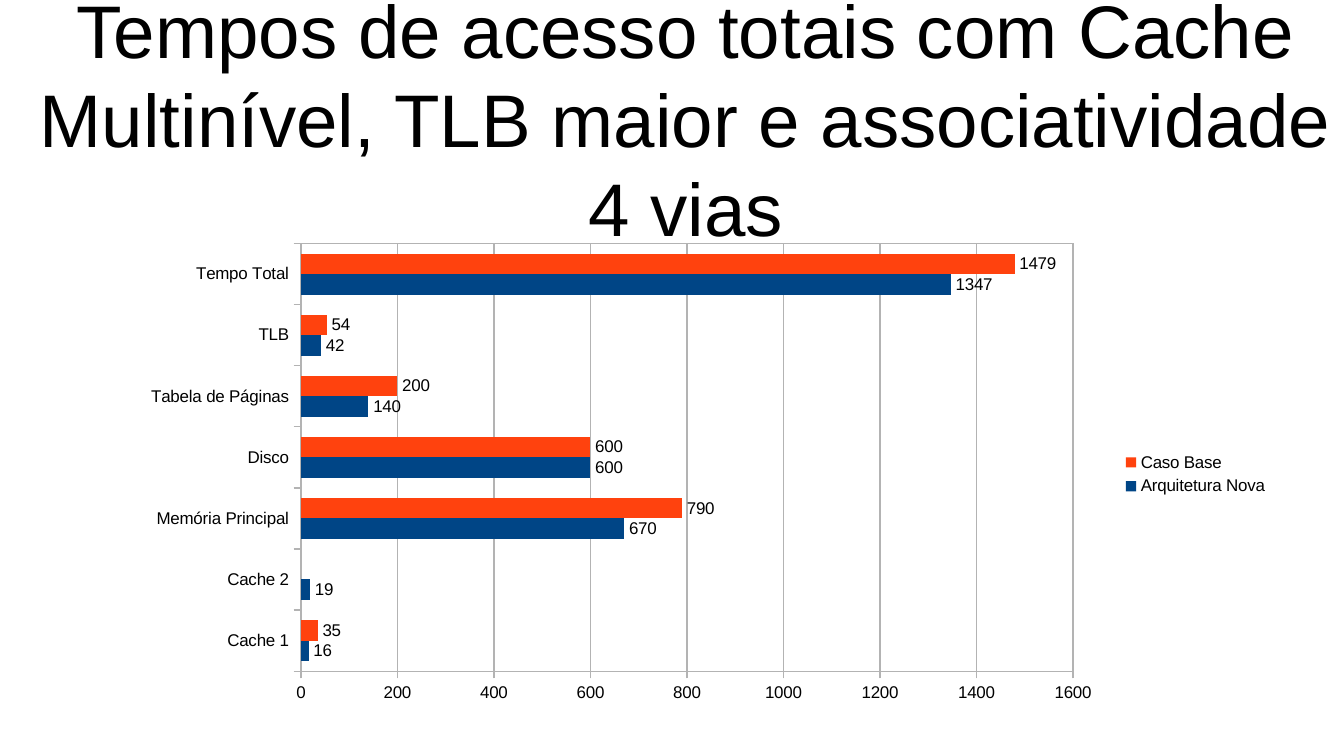
from lxml import etree
from pptx import Presentation
from pptx.chart.data import CategoryChartData
from pptx.dml.color import RGBColor
from pptx.enum.chart import XL_CHART_TYPE, XL_LABEL_POSITION, XL_LEGEND_POSITION, XL_TICK_MARK
from pptx.enum.text import MSO_ANCHOR, PP_ALIGN
from pptx.oxml import parse_xml
from pptx.util import Inches, Pt

BARS = XL_CHART_TYPE.BAR_CLUSTERED
OUTSIDE_END = XL_LABEL_POSITION.OUTSIDE_END
LEGEND_RIGHT = XL_LEGEND_POSITION.RIGHT
TICK_OUT = XL_TICK_MARK.OUTSIDE
MIDDLE = MSO_ANCHOR.MIDDLE
CENTER = PP_ALIGN.CENTER

TITLE = "Tempos de acesso totais com Cache Multinível, TLB maior e associatividade 4 vias"
LEVELS = ["Cache 1", "Cache 2", "Memória Principal", "Disco",
          "Tabela de Páginas", "TLB", "Tempo Total"]
ACCESS_TIMES = {
    "Arquitetura Nova": [16, 19, 670, 600, 140, 42, 1347],
    "Caso Base": [35, None, 790, 600, 200, 54, 1479],
}
COLORS = {"text": "000000", "grid": "B3B3B3",
          "Arquitetura Nova": "004586", "Caso Base": "FF420E"}
FONT = "Arial"
PLOT_LAYOUT = {"x": 0.15, "y": 0.02, "w": 0.67, "h": 0.89}
CHART_NS = "http://schemas.openxmlformats.org/drawingml/2006/chart"
DRAWING_NS = "http://schemas.openxmlformats.org/drawingml/2006/main"


def style_font(font, size):
    font.name = FONT
    font.size = Pt(size)
    font.color.rgb = RGBColor.from_string(COLORS["text"])


def style_line(line):
    line.color.rgb = RGBColor.from_string(COLORS["grid"])
    line.width = Pt(0)


def frame_plot(chart):
    plot_area = chart.plots[0]._element.getparent()
    for layout in plot_area.findall(f"{{{CHART_NS}}}layout"):
        plot_area.remove(layout)
    layout = etree.Element(f"{{{CHART_NS}}}layout")
    manual = etree.SubElement(layout, f"{{{CHART_NS}}}manualLayout")
    settings = {"layoutTarget": "inner", "xMode": "edge", "yMode": "edge", **PLOT_LAYOUT}
    for tag, value in settings.items():
        etree.SubElement(manual, f"{{{CHART_NS}}}{tag}", val=str(value))
    plot_area.insert(0, layout)
    plot_area.append(parse_xml(
        f'<c:spPr xmlns:c="{CHART_NS}" xmlns:a="{DRAWING_NS}"><a:noFill/>'
        f'<a:ln w="0"><a:solidFill><a:srgbClr val="{COLORS["grid"]}"/>'
        '</a:solidFill></a:ln></c:spPr>'))


def add_title(slide):
    box = slide.shapes.add_textbox(Inches(0.25), Inches(-0.06), Inches(10.75), Inches(2.05))
    frame = box.text_frame
    frame.word_wrap = True
    frame.vertical_anchor = MIDDLE
    frame.margin_left = frame.margin_right = frame.margin_top = frame.margin_bottom = 0
    paragraph = frame.paragraphs[0]
    paragraph.alignment = CENTER
    run = paragraph.add_run()
    run.text = TITLE
    style_font(run.font, 44)


def add_times_chart(slide):
    times = CategoryChartData()
    times.categories = LEVELS
    for name, values in ACCESS_TIMES.items():
        times.add_series(name, values)
    chart = slide.shapes.add_chart(
        BARS, Inches(1.05), Inches(1.92), Inches(9.45), Inches(3.94), times).chart
    chart.has_title = False
    style_font(chart.font, 10)

    chart.has_legend = True
    chart.legend.position = LEGEND_RIGHT
    chart.legend.include_in_layout = False
    style_font(chart.legend.font, 10)

    for axis in (chart.category_axis, chart.value_axis):
        axis.major_tick_mark = TICK_OUT
        style_font(axis.tick_labels.font, 10)
        style_line(axis.format.line)
    chart.value_axis.minimum_scale = 0
    chart.value_axis.maximum_scale = 1600
    chart.value_axis.major_unit = 200
    chart.value_axis.has_major_gridlines = True
    style_line(chart.value_axis.major_gridlines.format.line)

    bars = chart.plots[0]
    bars.gap_width = 100
    bars.overlap = 0
    bars.vary_by_categories = False
    for series in bars.series:
        series.format.fill.solid()
        series.format.fill.fore_color.rgb = RGBColor.from_string(COLORS[series.name])
        labels = series.data_labels
        labels.show_value = True
        labels.position = OUTSIDE_END
        style_font(labels.font, 10)
    frame_plot(chart)


def main():
    deck = Presentation()
    deck.slide_width = Inches(11.02)
    deck.slide_height = Inches(6.2)
    slide = deck.slides.add_slide(deck.slide_layouts[6])
    add_title(slide)
    add_times_chart(slide)
    deck.save("out.pptx")


if __name__ == "__main__":
    main()
